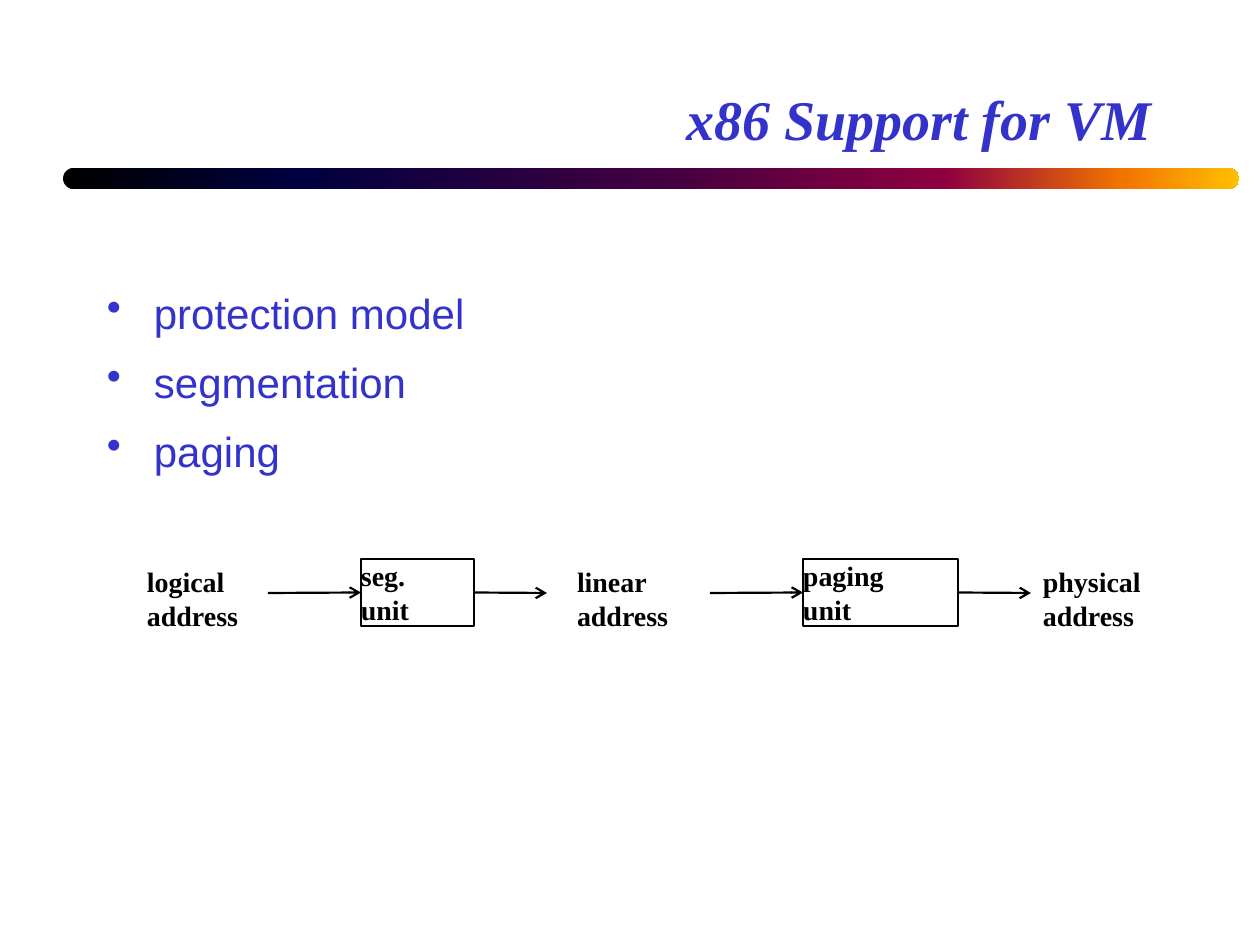
from lxml import etree
from pptx import Presentation
from pptx.dml.color import RGBColor
from pptx.enum.shapes import MSO_CONNECTOR, MSO_SHAPE
from pptx.enum.text import MSO_ANCHOR, PP_ALIGN
from pptx.oxml.ns import qn
from pptx.util import Pt

PX = 914400 / 126
RECT, ROUND = MSO_SHAPE.RECTANGLE, MSO_SHAPE.ROUNDED_RECTANGLE
STRAIGHT = MSO_CONNECTOR.STRAIGHT
TOP, MIDDLE, BOTTOM = MSO_ANCHOR.TOP, MSO_ANCHOR.MIDDLE, MSO_ANCHOR.BOTTOM
LEFT, RIGHT = PP_ALIGN.LEFT, PP_ALIGN.RIGHT

BLUE = RGBColor(0x33, 0x33, 0xCC)
BLACK = RGBColor(0, 0, 0)
INK = RGBColor(5, 0, 0)
STOPS = [(0, "000000"), (20, "000040"), (50, "400040"),
         (75, "8F0040"), (90, "F27300"), (100, "FFBF00")]

ROW_Y, BOX_H, LABEL_H = 559, 67, 80
MID_Y = 593


def emu(*px):
    return [round(n * PX) for n in px]


def write(shape, lines, font="Times New Roman", size=16, color=BLACK,
          bold=True, italic=False, align=LEFT, anchor=TOP, wrap=False,
          inset=(13, 6), after=0, bullet=False):
    frame = shape.text_frame
    frame.word_wrap = wrap
    frame.vertical_anchor = anchor
    frame.margin_left, frame.margin_top = emu(*inset)
    frame.margin_right, frame.margin_bottom = emu(*inset)
    frame.text = "\n".join(lines)
    for para in frame.paragraphs:
        para.alignment = align
        para.space_after = Pt(after)
        face = para.font
        face.name, face.size = font, Pt(size)
        face.bold, face.italic = bold, italic
        face.color.rgb = color
        if bullet:
            add_bullet(para, color)


def add_bullet(para, color):
    props = para._p.get_or_add_pPr()
    indent = emu(47)[0]
    props.set("marL", str(indent))
    props.set("indent", str(-indent))
    tint = etree.Element(qn("a:buClr"))
    etree.SubElement(tint, qn("a:srgbClr"), val=str(color))
    mark = etree.Element(qn("a:buChar"), char="•")
    # Bullet elements stand between the spacing and the default run format
    for item in (tint, mark):
        props.find(qn("a:defRPr")).addprevious(item)


def add_text(slide, lines, x, y, w, h, **style):
    write(slide.shapes.add_textbox(*emu(x, y, w, h)), lines, **style)


def add_bar(slide, x, y, w, h):
    bar = slide.shapes.add_shape(ROUND, *emu(x, y, w, h))
    bar.adjustments[0] = 0.5
    bar.shadow.inherit = False
    bar.line.fill.background()
    bar.fill.gradient()
    bar.fill.gradient_angle = 0
    stops = bar._element.spPr.find(".//" + qn("a:gsLst"))
    for old in list(stops):
        stops.remove(old)
    for pos, color in STOPS:
        stop = etree.SubElement(stops, qn("a:gs"), pos=str(pos * 1000))
        etree.SubElement(stop, qn("a:srgbClr"), val=color)


def add_unit(slide, lines, x, w):
    box = slide.shapes.add_shape(RECT, *emu(x, ROW_Y, w, BOX_H))
    box.shadow.inherit = False
    box.fill.background()
    box.line.color.rgb = INK
    box.line.width = Pt(0.75)
    write(box, lines, anchor=MIDDLE, inset=(0, 0))
    return box


def add_arrow(slide, x1, x2, start=None, end=None):
    arrow = slide.shapes.add_connector(STRAIGHT, *emu(x1, MID_Y, x2, MID_Y))
    arrow.line.color.rgb = INK
    arrow.line.width = Pt(1.25)
    if start is not None:
        arrow.begin_connect(start, 3)
    if end is not None:
        arrow.end_connect(end, 1)
    etree.SubElement(arrow.line._get_or_add_ln(), qn("a:tailEnd"), type="arrow")
    etree.SubElement(arrow._element.spPr, qn("a:effectLst"))


def main():
    deck = Presentation()
    deck.slide_width, deck.slide_height = emu(1260, 945)
    slide = deck.slides.add_slide(deck.slide_layouts[6])

    # Title and bar
    add_bar(slide, 63, 168, 1176, 21)
    add_text(slide, ["x86 Support for VM"], 94, 32, 1071, 126, size=32,
             color=BLUE, italic=True, align=RIGHT, anchor=BOTTOM, wrap=True)

    # Topics
    add_text(slide, ["protection model", "segmentation", "paging"],
             94, 281, 1071, 559, font="Arial", size=24, color=BLUE,
             bold=False, wrap=True, after=10.7, bullet=True)

    # Address kinds
    for kind, x, w in (("logical", 134, 118), ("linear", 564, 118),
                       ("physical", 1030, 125)):
        add_text(slide, [kind, "address"], x, ROW_Y, w, LABEL_H)

    # Units with an arrow in and an arrow out
    for name, x, w in (("seg.", 361, 113), ("paging", 803, 155)):
        unit = add_unit(slide, [name, "unit"], x, w)
        add_arrow(slide, x - 93, x, end=unit)
        add_arrow(slide, x + w, x + w + 73, start=unit)

    deck.save("out.pptx")


if __name__ == "__main__":
    main()
